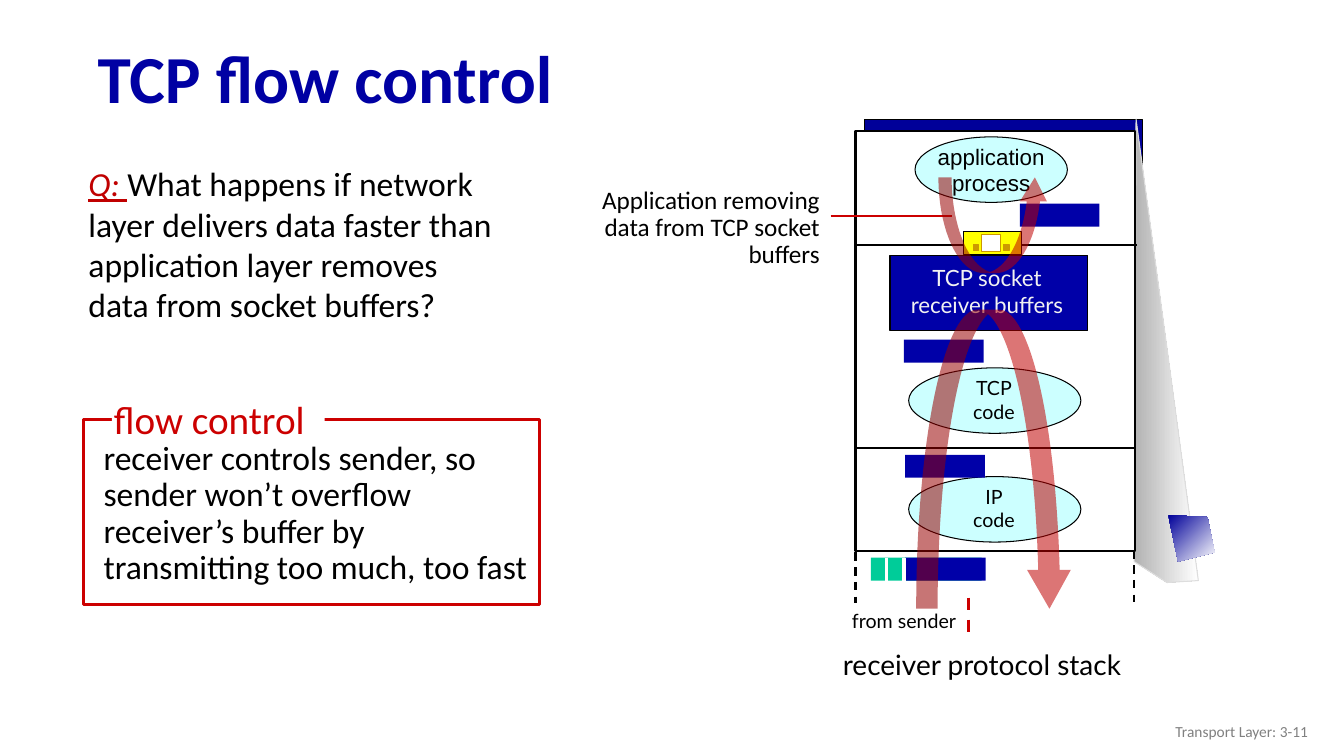
from lxml.etree import SubElement
from pptx import Presentation
from pptx.dml.color import RGBColor
from pptx.enum.dml import MSO_LINE
from pptx.enum.shapes import MSO_CONNECTOR, MSO_SHAPE
from pptx.enum.text import MSO_ANCHOR, PP_ALIGN
from pptx.oxml.ns import qn
from pptx.util import Cm, Pt

RECT, OVAL = MSO_SHAPE.RECTANGLE, MSO_SHAPE.OVAL
LEFT, MID, RIGHT = PP_ALIGN.LEFT, PP_ALIGN.CENTER, PP_ALIGN.RIGHT
NAVY, CYAN, RED, BLACK, WHITE = "0000A8", "CCFFFF", "CC0000", "000000", "FFFFFF"
GOLD, GREEN, DEEP = "CC9900", "00CC99", "C00000"
hue = RGBColor.from_string

deck = Presentation()
deck.slide_width, deck.slide_height = Cm(33.87), Cm(19.05)
parts = deck.slides.add_slide(deck.slide_layouts[6]).shapes


def box(kind, x, y, w, h, fill, edge=None, width=0.75):
    shape = parts.add_shape(kind, Cm(x), Cm(y), Cm(w), Cm(h))
    shape.shadow.inherit = False
    shape.fill.solid()
    shape.fill.fore_color.rgb = hue(fill)
    if edge:
        shape.line.color.rgb = hue(edge)
        shape.line.width = Pt(width)
    else:
        shape.line.fill.background()
    return shape


def write(shape, text, size, font="Calibri", color=BLACK, align=LEFT,
          anchor=MSO_ANCHOR.TOP, space=None):
    frame = shape.text_frame
    frame.text = text
    frame.word_wrap = align != MID
    frame.vertical_anchor = anchor
    for para in frame.paragraphs:
        para.alignment = align
        para.line_spacing = space
        para.font.size = Pt(size)
        para.font.name = font
        para.font.color.rgb = hue(color)
    return frame.paragraphs[0]


# Computer behind the stack
box(RECT, 21.79, 3.02, 7.01, 10.72, "000099", BLACK)
wedge = [(30.2, 14.63), (28.63, 3), (28.58, 14.15), (29.41, 14.68)]
tile = [(29.44, 12.98), (30.43, 13.03), (30.61, 13.92), (29.69, 14.15)]
for points, start, angle, edge in [(wedge, "B2B2B2", 0, "DDDDDD"),
                                   (tile, "000099", 315, None)]:
    spots = [(Cm(x), Cm(y)) for x, y in points]
    pen = parts.build_freeform(*spots[0])
    pen.add_line_segments(spots[1:], close=True)
    form = pen.convert_to_shape()
    form.shadow.inherit = False
    form.fill.gradient()
    form.fill.gradient_angle = angle
    for stop, color in zip(form.fill.gradient_stops, (start, WHITE)):
        stop.color.rgb = hue(color)
    if edge:
        form.line.color.rgb = hue(edge)
        form.line.width = Pt(0.75)
    else:
        form.line.fill.background()

# Protocol stack
box(RECT, 21.56, 3.3, 7.04, 10.59, WHITE, BLACK, 1.5)
app = box(OVAL, 23.06, 3.45, 3.84, 1.65, CYAN, BLACK)
write(app, "application\nprocess", 16, "Arial", align=MID, anchor=MSO_ANCHOR.MIDDLE)
box(RECT, 22.43, 6.43, 4.98, 1.91, NAVY, BLACK)
for y, name in [(9.27, "TCP"), (12.01, "IP")]:
    box(OVAL, 22.9, y, 4.34, 1.65, CYAN, BLACK)
    label = parts.add_textbox(Cm(23.55), Cm(y + 0.08), Cm(3), Cm(1.45))
    write(label, name + "\ncode", 14, "Lato", align=MID)

# Data segments
for x, y, w, fill in [(22.81, 11.46, 2.01, NAVY), (21.95, 14.05, 2.79, GREEN),
                      (22.81, 14.05, 2.03, NAVY), (22.78, 8.56, 2.01, NAVY),
                      (25.7, 5.13, 2.01, NAVY)]:
    box(RECT, x, y, w, 0.58, fill)

# Dividers, dashed ends, header gaps and pointer
for x1, y1, x2, y2, color, width, dash in [
        (21.54, 11.3, 28.63, 11.3, BLACK, 1.5, False),
        (21.59, 6.17, 28.65, 6.17, BLACK, 1.5, False),
        (24.41, 15.06, 24.41, 16.03, RED, 2.25, True),
        (28.58, 13.87, 28.58, 15.16, BLACK, 1.5, True),
        (21.56, 13.92, 21.56, 15.19, BLACK, 1.5, True),
        (22.35, 14.05, 22.35, 14.63, WHITE, 2.25, False),
        (22.78, 14.05, 22.78, 14.63, WHITE, 2.25, False),
        (20.93, 5.44, 23.98, 5.44, RED, 1.5, False)]:
    rule = parts.add_connector(MSO_CONNECTOR.STRAIGHT, Cm(x1), Cm(y1), Cm(x2), Cm(y2))
    rule.line.color.rgb = hue(color)
    rule.line.width = Pt(width)
    if dash:
        rule.line.dash_style = MSO_LINE.DASH
    SubElement(rule.element.spPr, qn("a:effectLst"))

# Socket door
box(RECT, 24.28, 5.84, 1.47, 0.58, "FFFF00", BLACK)
box(RECT, 24.74, 5.92, 0.48, 0.43, WHITE, GOLD)
for x in (24.54, 25.3):
    box(RECT, x, 6.17, 0.13, 0.15, GOLD, GOLD)

# Flow control definition
box(RECT, 2.11, 10.57, 11.48, 4.67, WHITE, RED, 2.25)
box(RECT, 2.82, 10.24, 5.36, 0.99, WHITE)

# Labels
for x, y, w, h, text, size, font, color, align, space in [
        (22.68, 6.53, 4.39, 1.63, "TCP socket\nreceiver buffers",
         16, "Lato", "F2F2F2", MID, None),
        (20.98, 16.18, 7.54, 1.09, "receiver protocol stack",
         20, "Lato", BLACK, MID, None),
        (21.21, 15.21, 3.15, 0.84, "from sender", 14, "Lato", BLACK, MID, None),
        (13.87, 4.6, 7.04, 2.34, "Application removing data from TCP socket buffers",
         18, "Calibri", BLACK, RIGHT, 0.9),
        (2.36, 11, 11.3, 3.96, "receiver controls sender, so sender won’t overflow "
         "receiver’s buffer by transmitting too much, too fast",
         24, "Calibri", BLACK, LEFT, 0.9),
        (2.62, 9.83, 5.38, 1.45, "flow control", 28, "Calibri", RED, LEFT, None)]:
    label = parts.add_textbox(Cm(x), Cm(y), Cm(w), Cm(h))
    write(label, text, size, font, color, align, space=space)

# Curved data arrows
for x, y, w, h, flip in [(23.09, 7.8, 3.91, 7.54, False),
                         (23.65, 4.47, 2.77, 2.41, True)]:
    arrow = box(MSO_SHAPE.CURVED_DOWN_ARROW, x, y, w, h, DEEP)
    for spot, value in enumerate((0.138, 0.282, 0.25)):
        arrow.adjustments[spot] = value
    tint = arrow.element.spPr.find(qn("a:solidFill"))[0]
    SubElement(tint, qn("a:alpha")).set("val", "54000")
    if flip:
        arrow.rotation = 180
        arrow.element.spPr.find(qn("a:xfrm")).set("flipH", "1")

# Title, question and footer
title = parts.add_textbox(Cm(2.21), Cm(0.81), Cm(31.65), Cm(2.49))
head = write(title, "TCP flow control", 48, color="0000A3",
             anchor=MSO_ANCHOR.MIDDLE, space=0.9)
head.font.bold = True

ask = parts.add_textbox(Cm(1.98), Cm(3.99), Cm(10.69), Cm(4.37))
para = write(ask, "Q: ", 24)
mark = para.runs[0].font
mark.italic = mark.underline = True
mark.color.rgb = hue(DEEP)
para.add_run().text = ("What happens if network layer delivers data faster than "
                       "application layer removes data from socket buffers?")

foot = parts.add_textbox(Cm(25.6), Cm(17.91), Cm(7.62), Cm(1.02))
write(foot, "Transport Layer: 3-11", 11, color="808080", align=RIGHT,
      anchor=MSO_ANCHOR.MIDDLE)

deck.save("out.pptx")
